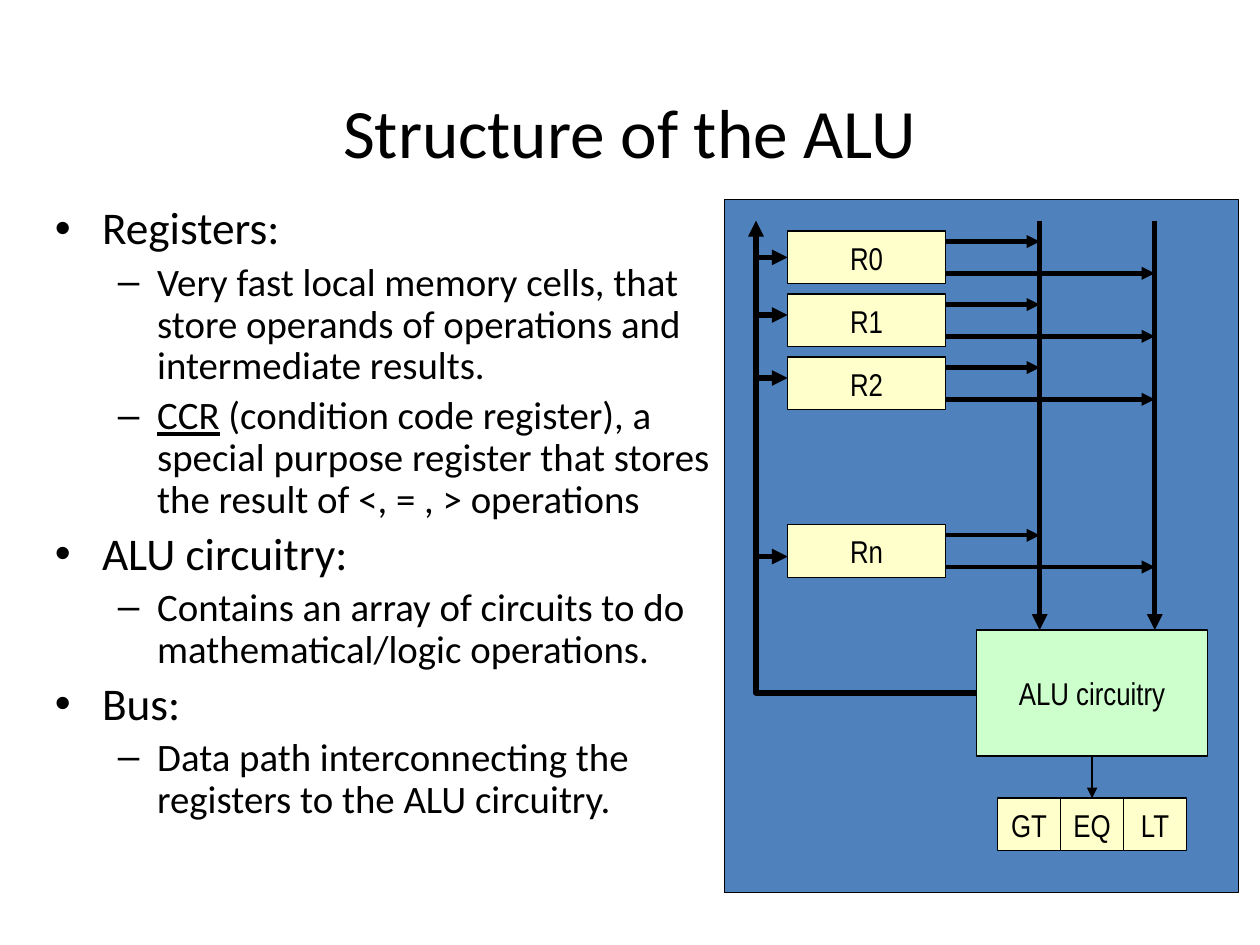
from lxml import etree
from pptx import Presentation
from pptx.dml.color import RGBColor
from pptx.enum.shapes import MSO_CONNECTOR as Connector, MSO_SHAPE as Shape
from pptx.enum.text import MSO_ANCHOR as Anchor, MSO_AUTO_SIZE as AutoSize, PP_ALIGN as Align
from pptx.oxml.ns import qn
from pptx.util import Cm, Pt

TOP, LEFT, BOTTOM = 0, 1, 2  # connection sites


def color(hex_string):
    return RGBColor.from_string(hex_string)


class Diagram:
    black, panel, register, circuit = "000000", "4F81BD", "FFFFCC", "CCFFCC"
    text_font, label_font = "Calibri", "Arial Narrow"

    def __init__(self, slide):
        self.slide = slide

    def format_font(self, font, name, size):
        font.name, font.size = name, Pt(size)
        font.color.rgb = color(self.black)

    def place(self, shape, left, top, width, height):
        shape.left, shape.top = Cm(left), Cm(top)
        shape.width, shape.height = Cm(width), Cm(height)
        shape.text_frame.auto_size = AutoSize.NONE

    def title(self, text, *position):
        shape = self.slide.shapes.title
        self.place(shape, *position)
        shape.text_frame.text = text
        shape.text_frame.vertical_anchor = Anchor.MIDDLE
        paragraph = shape.text_frame.paragraphs[0]
        paragraph.alignment = Align.CENTER
        self.format_font(paragraph.runs[0].font, self.text_font, 39.6)

    def bullets(self, items, *position):
        """Each item is (level, underlined lead, text)."""
        shape = self.slide.placeholders[1]
        self.place(shape, *position)
        frame = shape.text_frame
        for index, (level, lead, text) in enumerate(items):
            paragraph = frame.add_paragraph() if index else frame.paragraphs[0]
            paragraph.level = level
            paragraph.line_spacing = 0.9
            if lead:
                run = paragraph.add_run()
                run.text = lead
                run.font.underline = True
            paragraph.add_run().text = text
            for run in paragraph.runs:
                self.format_font(run.font, self.text_font, 22.2 if level else 25.9)
        frame.paragraphs[0].space_before = Pt(0)

    def box(self, text, left, top, width, height, fill, parent=None):
        shapes = (parent or self.slide).shapes
        shape = shapes.add_shape(Shape.RECTANGLE, Cm(left), Cm(top), Cm(width), Cm(height))
        shape.shadow.inherit = False
        shape.fill.solid()
        shape.fill.fore_color.rgb = color(fill)
        shape.line.color.rgb = color(self.black)
        shape.line.width = Pt(0.75)
        if text:
            frame = shape.text_frame
            frame.text = text
            frame.word_wrap = False
            frame.vertical_anchor = Anchor.MIDDLE
            frame.paragraphs[0].alignment = Align.CENTER
            self.format_font(frame.paragraphs[0].runs[0].font, self.label_font, 18)
        return shape

    def arrow(self, x1, y1, x2, y2, width=3, kind=Connector.STRAIGHT):
        connector = self.slide.shapes.add_connector(kind, Cm(x1), Cm(y1), Cm(x2), Cm(y2))
        connector.line.color.rgb = color(self.black)
        connector.line.width = Pt(width)
        etree.SubElement(connector.line._get_or_add_ln(), qn("a:tailEnd"), type="triangle")
        etree.SubElement(connector._element.spPr, qn("a:effectLst"))
        return connector

    def join(self, start, start_site, end, end_site, width=3, kind=Connector.STRAIGHT):
        connector = self.arrow(0, 0, 1, 1, width, kind)
        connector.begin_connect(start, start_site)
        connector.end_connect(end, end_site)
        return connector


def main():
    presentation = Presentation()
    presentation.slide_width, presentation.slide_height = Cm(25.4), Cm(19.05)
    slide = presentation.slides.add_slide(presentation.slide_layouts[1])
    diagram = Diagram(slide)

    # Text
    diagram.title("Structure of the ALU", 1.9, 1.69, 21.59, 1.9)
    diagram.bullets([
        (0, "", "Registers:"),
        (1, "", "Very fast local memory cells, that store operands of operations "
                "and intermediate results."),
        (1, "CCR", " (condition code register), a special purpose register that "
                   "stores the result of <, = , > operations"),
        (0, "", "ALU circuitry:"),
        (1, "", "Contains an array of circuits to do mathematical/logic operations."),
        (0, "", "Bus:"),
        (1, "", "Data path interconnecting the registers to the ALU circuitry."),
    ], 0.85, 4.02, 13.76, 13.97)

    # Panel and ALU
    diagram.box("", 14.6, 4.02, 10.37, 13.97, diagram.panel)
    alu = diagram.box("ALU circuitry", 19.69, 12.7, 4.65, 2.54, diagram.circuit)

    # Operand buses into the ALU
    bus_top, operand_buses = 4.45, (20.96, 23.28)
    for bus in operand_buses:
        diagram.arrow(bus, bus_top, bus, 12.7)

    # Registers, each feeding both operand buses
    registers = {}
    for name, top in {"R0": 4.66, "R1": 5.93, "R2": 7.2, "Rn": 10.58}.items():
        for bus, offset in zip(operand_buses, (0.21, 0.85)):
            diagram.arrow(18.63, top + offset, bus, top + offset, 2.5)
        registers[name] = diagram.box(name, 15.88, top, 3.18, 1.06, diagram.register)

    # Condition flags
    flag_group = slide.shapes.add_group_shape()
    flags = [diagram.box(name, 20.11 + 1.27 * column, 16.09, 1.27, 1.06,
                         diagram.register, flag_group)
             for column, name in enumerate(("GT", "EQ", "LT"))]
    diagram.join(alu, BOTTOM, flags[1], TOP, 1.5)

    # Result bus back to the registers
    result_bus = 15.24
    loop = diagram.join(alu, LEFT, registers["R0"], LEFT, kind=Connector.ELBOW)
    guides = loop._element.spPr.find(qn("a:prstGeom")).get_or_add_avLst()
    etree.SubElement(guides, qn("a:gd"), name="adj1", fmla="val 116667")
    for y in (6.35, 7.62, 11.22):
        diagram.arrow(result_bus, y, 15.88, y)
    diagram.arrow(result_bus, 5.29, result_bus, bus_top)

    presentation.save("out.pptx")


if __name__ == "__main__":
    main()
